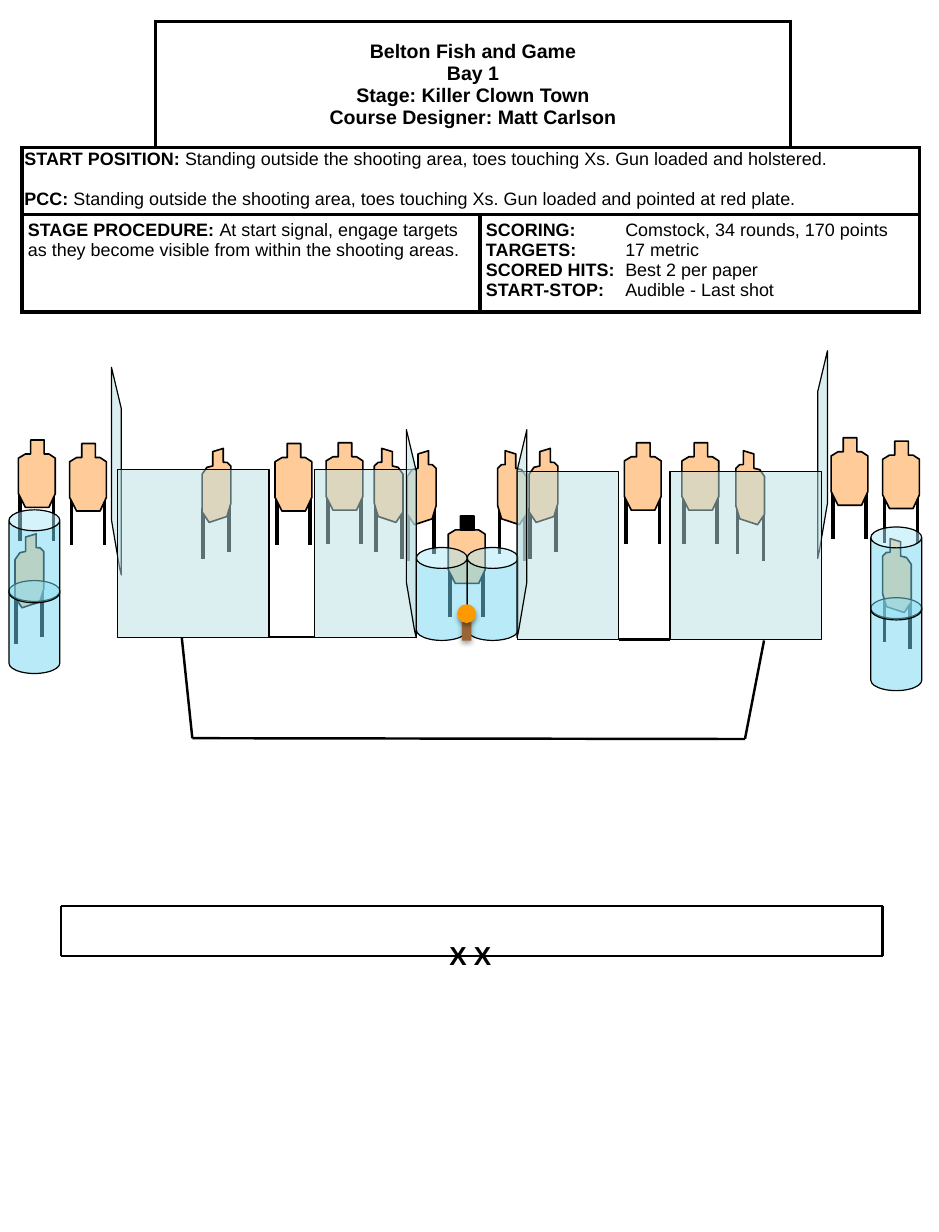
from lxml import etree
from pptx import Presentation
from pptx.dml.color import RGBColor
from pptx.enum.shapes import MSO_CONNECTOR, MSO_SHAPE
from pptx.enum.text import MSO_ANCHOR, PP_ALIGN
from pptx.oxml.ns import qn
from pptx.util import Pt

BLACK, WHITE = "000000", "FFFFFF"
TAN, GLASS, BARREL = "FFCC99", "BBE0E3", "73D9F1"

FRONT = [(7.5, 0), (15.8, 0), (15.8, 8.6), (18.7, 8.6), (22.6, 11.2), (22.6, 33),
         (18.7, 41.4), (4.3, 41.4), (0, 33), (0, 11.2), (4.3, 8.6), (7.5, 8.6)]
FRONT_LEGS = [(1.1, 31), (21.5, 31)]
ANGLED = [(6.5, 2), (13, 0), (13, 8.5), (15.3, 8.6), (17.6, 10.8), (17.6, 33.8),
          (15.2, 41.8), (4.3, 45.4), (0, 39), (0, 15.8), (3, 11.6), (6.5, 10.8)]
ANGLED_LEGS = [(0.7, 36.5), (16.5, 32.2)]
SIDE_WALL = [(5, 123.1), (0, 93.6), (0, 0), (6, 25.2), (6, 127.5)]


def rgb(color):
    return RGBColor.from_string(color)


def sub(parent, tag, **attrs):
    return etree.SubElement(parent, qn(tag), {k: str(v) for k, v in attrs.items()})


def mirror(points, width):
    return [(width - x, y) for x, y in points]


class Sheet:
    font = "Arial"

    def __init__(self, slide):
        self.s = slide

    def paint(self, sp, fill, line=0.75, alpha=None):
        sp.shadow.inherit = False
        sp.fill.solid()
        sp.fill.fore_color.rgb = rgb(fill)
        if alpha:
            clr = sp._element.spPr.find(qn("a:solidFill"))[0]
            sub(clr, "a:alpha", val=alpha * 1000)
        if line:
            sp.line.color.rgb = rgb(BLACK)
            sp.line.width = Pt(line)
        else:
            sp.line.fill.background()
        return sp

    def shape(self, kind, x, y, w, h, fill, on=None, **style):
        shapes = (on or self.s).shapes
        sp = shapes.add_shape(kind, Pt(x), Pt(y), Pt(w), Pt(h))
        return self.paint(sp, fill, **style)

    def outline(self, x, y, points, fill, on=None, **style):
        pts = [(Pt(x + dx), Pt(y + dy)) for dx, dy in points]
        fb = (on or self.s).shapes.build_freeform(*pts[0], scale=1.0)
        fb.add_line_segments(pts[1:], close=True)
        return self.paint(fb.convert_to_shape(), fill, **style)

    def line(self, x1, y1, x2, y2, width=1.5, on=None):
        cx = (on or self.s).shapes.add_connector(
            MSO_CONNECTOR.STRAIGHT, Pt(x1), Pt(y1), Pt(x2), Pt(y2))
        cx.line.color.rgb = rgb(BLACK)
        cx.line.width = Pt(width)
        sub(cx._element.spPr, "a:effectLst")

    def target(self, x, y, body, legs):
        g = self.s.shapes.add_group_shape()
        for dx, dy in legs:
            self.line(x + dx, y + dy, x + dx, y + dy + 31.3, 2.25, on=g)
        self.outline(x, y, body, TAN, on=g, line=1)
        return g

    def wall(self, x, y, w, h):
        self.shape(MSO_SHAPE.RECTANGLE, x, y, w, h, GLASS, alpha=50)

    def side_wall(self, x, y, points):
        self.outline(x, y, points, GLASS, alpha=50)

    def barrel(self, x, y):
        sp = self.shape(MSO_SHAPE.CAN, x, y, 31.2, 57, BARREL, alpha=50)
        sp.adjustments[0] = 0.41

    def drop_shadow(self, sp):
        effects = sp._element.spPr.find(qn("a:effectLst"))
        shadow = sub(effects, "a:outerShdw", blurRad=Pt(3.1), dist=Pt(1.8),
                     dir=5400000, rotWithShape=0)
        sub(sub(shadow, "a:srgbClr", val=BLACK), "a:alpha", val=35000)

    def style(self, r, size, bold):
        r.font.name = self.font
        r.font.size = Pt(size)
        r.font.bold = bold
        r.font.color.rgb = rgb(BLACK)

    def label(self, text, x, y, w, h, size):
        tf = self.s.shapes.add_textbox(Pt(x), Pt(y), Pt(w), Pt(h)).text_frame
        tf.word_wrap = False
        tf.text = text
        self.style(tf.paragraphs[0].runs[0], size, True)

    def cell(self, cell, sides):
        tcPr = cell._tc.get_or_add_tcPr()
        for side in "LRTB":
            ln = sub(tcPr, "a:ln" + side, w=Pt(2.25))
            if side in sides:
                sub(sub(ln, "a:solidFill"), "a:srgbClr", val=BLACK)
            else:
                sub(ln, "a:noFill")
        cell.fill.solid()
        cell.fill.fore_color.rgb = rgb(WHITE)

    def cell_text(self, cell, rows, size=11, margins=(3.6, 3.6), align=None,
                  spacing=None, gap=0, tab=None):
        cell.margin_left = cell.margin_right = Pt(margins[0])
        cell.margin_top = cell.margin_bottom = Pt(margins[1])
        tf = cell.text_frame
        for i, (bold, plain) in enumerate(rows):
            p = tf.add_paragraph() if i else tf.paragraphs[0]
            if tab:
                tabs = sub(p._p.get_or_add_pPr(), "a:tabLst")
                sub(tabs, "a:tab", pos=Pt(tab), algn="l")
            p.alignment = align
            p.line_spacing = spacing
            if i and gap:
                p.space_before = Pt(gap)
            for text, heavy in ((bold, True), (plain, False)):
                if text:
                    r = p.add_run()
                    r.text = text
                    self.style(r, size, heavy)

    def briefing(self, x, y, widths, heights):
        tbl = self.s.shapes.add_table(
            len(heights), len(widths), Pt(x), Pt(y), Pt(sum(widths)), Pt(sum(heights))).table
        tbl.first_row = tbl.horz_banding = False
        for col, w in zip(tbl.columns, widths):
            col.width = Pt(w)
        for row, h in zip(tbl.rows, heights):
            row.height = Pt(h)
        corners = {(0, 0): "RB", (0, 3): "LB"}
        for i in range(len(heights)):
            for j in range(len(widths)):
                self.cell(tbl.cell(i, j), corners.get((i, j), "LRTB"))
        for row, first, last in ((0, 1, 2), (1, 0, 3), (2, 0, 1), (2, 2, 3)):
            tbl.cell(row, first).merge(tbl.cell(row, last))
        return tbl


def main():
    prs = Presentation()
    prs.slide_width, prs.slide_height = Pt(576), Pt(756)
    sheet = Sheet(prs.slides.add_slide(prs.slide_layouts[6]))

    sheet.side_wall(68.4, 225.4, SIDE_WALL)
    sheet.side_wall(501.6, 215.3, mirror(SIDE_WALL, 6))

    for x, y in ((509.8, 268.6), (541.4, 270.7), (11.3, 270), (42.7, 272.2), (418.3, 271.7),
                 (168.7, 272.2), (200, 271.7), (383, 271.7)):
        sheet.target(x, y, FRONT, FRONT_LEGS)
    for x, y in ((9.2, 327.6), (124, 275.2), (324.6, 275.2), (249.9, 276.6)):
        sheet.target(x, y, ANGLED, ANGLED_LEGS)
    for x, y in ((541.4, 330.5), (451.4, 276.6), (229.6, 275.2), (305.3, 276.6)):
        sheet.target(x, y, mirror(ANGLED, 17.6), mirror(ANGLED_LEGS, 17.6))
    center = sheet.target(275, 316.6, FRONT, FRONT_LEGS)
    sheet.shape(MSO_SHAPE.RECTANGLE, 282.6, 317.2, 8.2, 8.2, BLACK, on=center)

    tbl = sheet.briefing(13.5, 13, (82, 199, 190.5, 79), (77.5, 41, 60))
    title = tbl.cell(0, 1)
    title.vertical_anchor = MSO_ANCHOR.MIDDLE
    sheet.cell_text(title, [("Belton Fish and Game", ""), ("Bay 1", ""),
                            ("Stage: Killer Clown Town", ""),
                            ("Course Designer: Matt Carlson", "")],
                    size=12, align=PP_ALIGN.CENTER)
    sheet.cell_text(tbl.cell(1, 0), [
        ("START POSITION:", " Standing outside the shooting area, toes touching Xs. "
                            "Gun loaded and holstered."),
        ("PCC: ", "Standing outside the shooting area, toes touching Xs. "
                  "Gun loaded and pointed at red plate.")],
        margins=(1.5, 2.5), spacing=0.9, gap=13)
    sheet.cell_text(tbl.cell(2, 0), [
        ("STAGE PROCEDURE: ", "At start signal, engage targets as they become visible "
                              "from within the shooting areas.")])
    sheet.cell_text(tbl.cell(2, 2), [
        ("SCORING:", "\tComstock, 34 rounds, 170 points"), ("TARGETS:", "\t17 metric"),
        ("SCORED HITS:", "\tBest 2 per paper"), ("START-STOP:", "\tAudible - Last shot")],
        tab=85.5)

    sheet.wall(193, 288, 62.5, 103)
    sheet.line(111.5, 391, 118, 453)
    sheet.line(118, 453, 457, 453.5)
    sheet.line(468.7, 393, 457, 453.5)
    sheet.label("X X", 268.6, 573, 41.8, 26.6, 16)
    sheet.side_wall(249.3, 263.7, SIDE_WALL)
    for x in (255.4, 286.6):
        sheet.barrel(x, 336)
    sheet.wall(317.5, 289.5, 62, 103)
    sheet.side_wall(317.2, 263.7, mirror(SIDE_WALL, 6))
    sheet.wall(72, 288, 93, 103)
    sheet.wall(411, 289.5, 93, 103)

    left, top, right, bottom = 37.4, 555.8, 541.4, 586.8
    for y in (top, bottom):
        sheet.line(left, y, right, y)
    for x in (left, right):
        sheet.line(x, top, x, bottom)

    for x, y in ((5.5, 356.3), (534.2, 366.8)):
        sheet.barrel(x, y)
        sheet.barrel(x, y - 43.4)
    sheet.line(165, 391, 193, 391)
    sheet.line(379.5, 392.5, 411, 392.5)

    plate = sheet.s.shapes.add_group_shape()
    for kind, box, fill in ((MSO_SHAPE.RECTANGLE, (283.3, 377.3, 5.8, 15.8), "996633"),
                            (MSO_SHAPE.OVAL, (280.5, 370.8, 11.5, 11.5), "FF9900")):
        sheet.drop_shadow(sheet.shape(kind, *box, fill, on=plate, line=0))

    prs.save("out.pptx")


if __name__ == "__main__":
    main()
